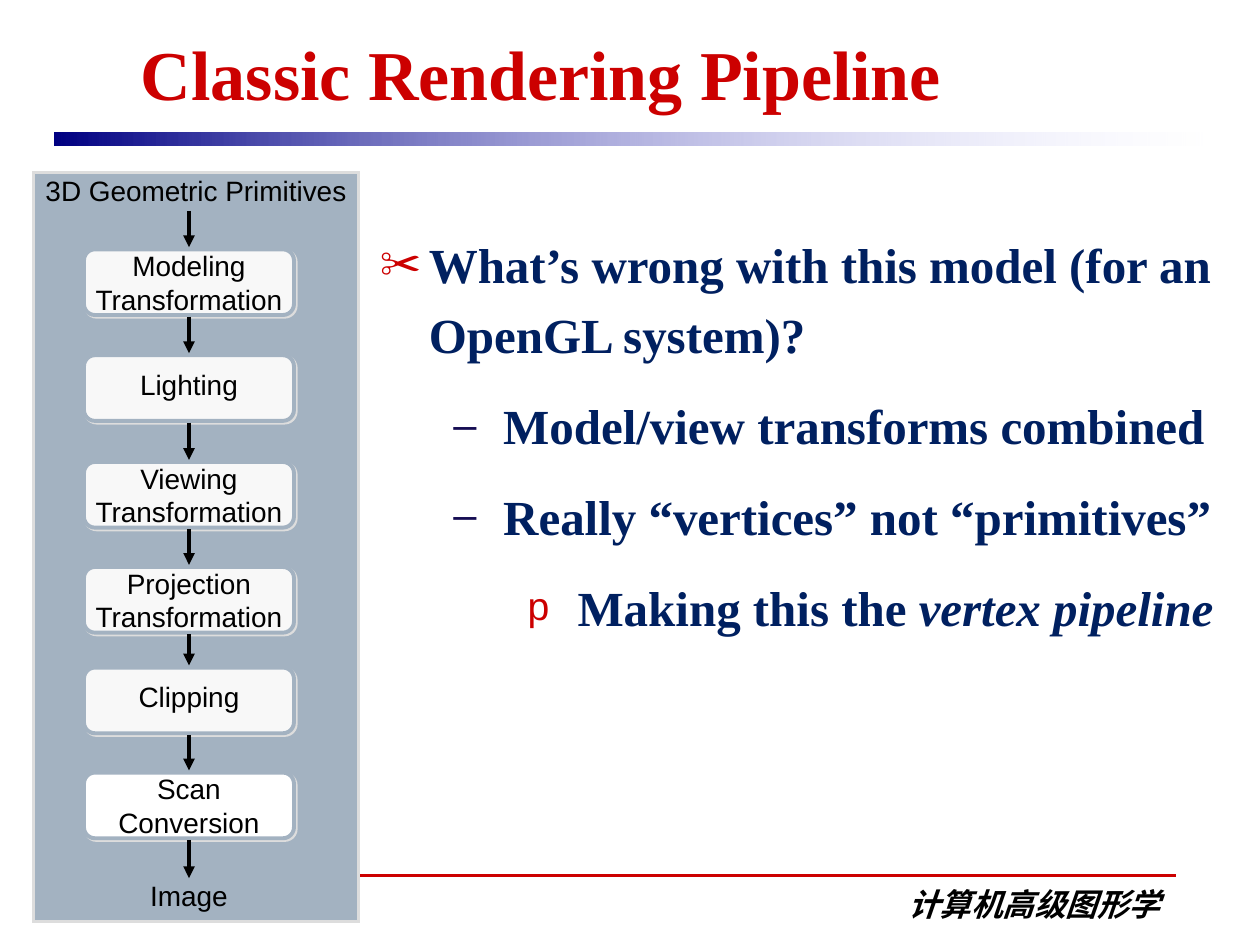
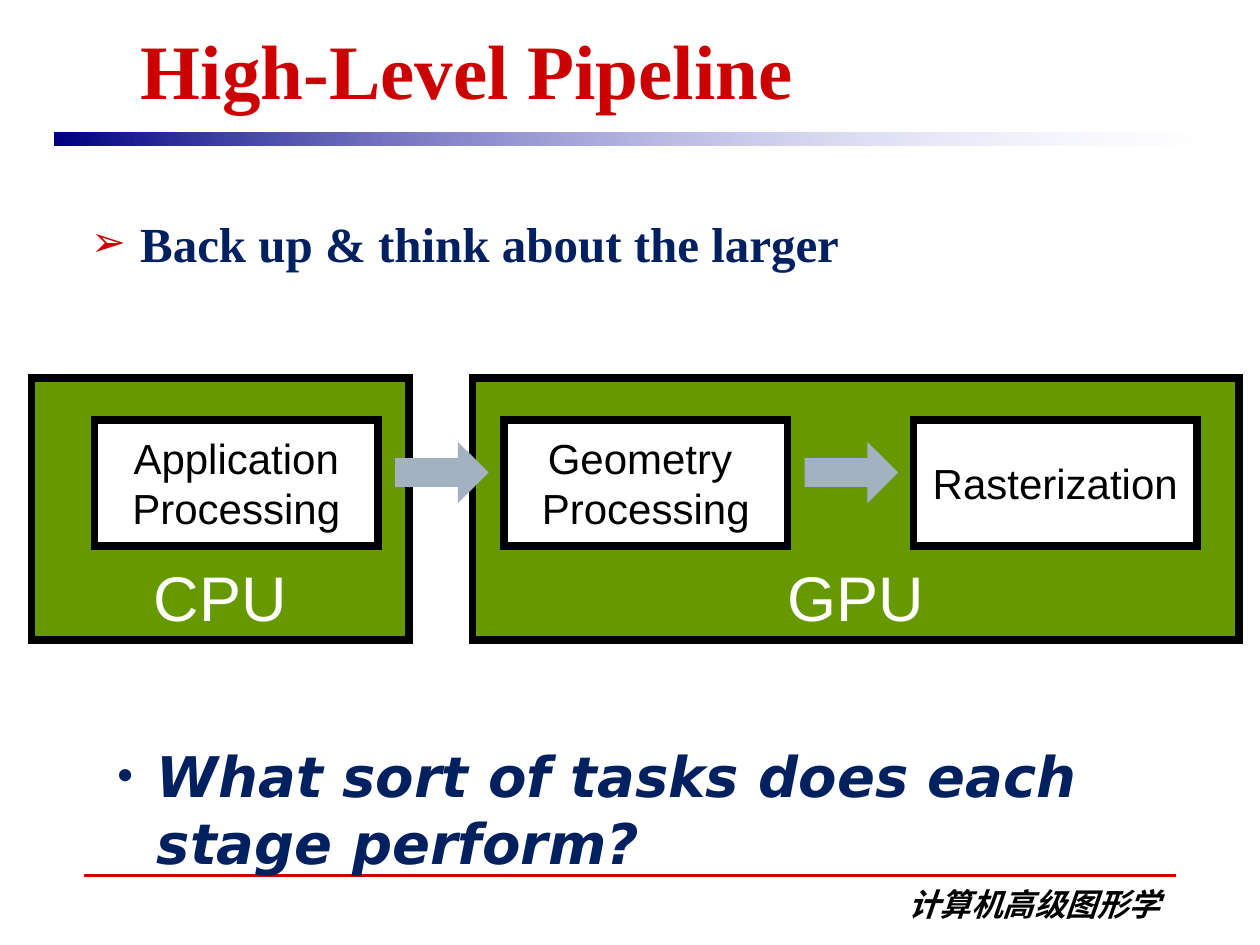
import dataclasses

import lxml.etree
import pptx
import pptx.dml.color
import pptx.enum.shapes
import pptx.enum.text
import pptx.oxml.ns
import pptx.util

Pt = pptx.util.Pt
Kind = pptx.enum.shapes.MSO_SHAPE
Anchor = pptx.enum.text.MSO_ANCHOR
Align = pptx.enum.text.PP_ALIGN


@dataclasses.dataclass(frozen=True)
class Theme:
    # Colours
    red: str = "CC0000"
    navy: str = "002060"
    dash: str = "140C52"
    steel: str = "A3B2C1"
    pale: str = "F8F8F8"
    edge: str = "DDDDDD"
    green: str = "669900"
    black: str = "000000"
    white: str = "FFFFFF"
    band: tuple = ("000082", "CCCCFF")
    # Fonts and type sizes
    serif: str = "Times New Roman"
    sans: str = "Arial"
    wide: str = "DejaVu Sans"
    han: str = "Noto Sans CJK SC"
    step: int = 16
    foot: int = 18
    stage: int = 24
    body: int = 28
    ask: int = 32
    chip: int = 36


T = Theme()


def look(name, size, color, **more):
    return dict(name=name, size=Pt(size), color=color, **more)


BODY = look(T.serif, T.body, T.navy, bold=True)
STEP = look(T.sans, T.step, T.black)
STAGE = look(T.sans, T.stage, T.black)
CHIP = look(T.sans, T.chip, T.white)


def rgb(code):
    return pptx.dml.color.RGBColor.from_string(code)


def tag(root, name, **attrs):
    """Append a drawing element to root."""
    part = lxml.etree.SubElement(root, pptx.oxml.ns.qn("a:" + name))
    for key, val in attrs.items():
        part.set(key, str(val))
    return part


def tint(root, code):
    return tag(root, "srgbClr", val=code)


def style(run, form):
    for key, val in form.items():
        if key == "color":
            run.font.color.rgb = rgb(val)
        else:
            setattr(run.font, key, val)
    tag(run._r.get_or_add_rPr(), "ea", typeface=form["name"])


def write(frame, lines, form, wrap=True, anchor=Anchor.TOP, **rules):
    """Fill a frame with paragraphs that share one look."""
    frame.word_wrap = wrap
    frame.vertical_anchor = anchor
    for at, line in enumerate(lines):
        para = frame.paragraphs[0] if at == 0 else frame.add_paragraph()
        para.text = line
        for key, val in rules.items():
            setattr(para, key, val)
        for run in para.runs:
            style(run, form)
    return frame.paragraphs


def label(slide, box, lines, form, **rules):
    text = slide.shapes.add_textbox(*map(Pt, box))
    return write(text.text_frame, lines, form, **rules)


def bullet(para, mark, color, size, left, hang, level=0):
    para.level = level
    props = para._p.get_or_add_pPr()
    props.set("marL", str(Pt(left)))
    props.set("indent", str(Pt(-hang)))
    tint(tag(props, "buClr"), color)
    tag(props, "buSzPct", val=size * 1000)
    tag(props, "buFont", typeface=T.sans)
    tag(props, "buChar", char=mark)


def block(slide, kind, box, fill, edge, width):
    shape = slide.shapes.add_shape(kind, *map(Pt, box))
    shape.shadow.inherit = False
    shape.fill.solid()
    shape.fill.fore_color.rgb = rgb(fill)
    shape.line.color.rgb = rgb(edge)
    shape.line.width = Pt(width)
    tag(shape.line._get_or_add_ln(), "miter", lim=800000)
    return shape


def rule(slide, start, end, color, width, head=False):
    line = slide.shapes.add_connector(
        pptx.enum.shapes.MSO_CONNECTOR.STRAIGHT, *map(Pt, start + end))
    line.line.color.rgb = rgb(color)
    line.line.width = Pt(width)
    if head:
        tag(line.line._get_or_add_ln(), "tailEnd", type="triangle")
    tag(line._element.spPr, "effectLst")


def base(deck, title, size):
    """Add a slide with the shared title, band and footer."""
    slide = deck.slides.add_slide(deck.slide_layouts[6])
    rule(slide, (48, 500.5), (672, 500.5), T.red, 1.75)

    # Fading band under the title
    band = slide.shapes.add_shape(Kind.RECTANGLE, *map(Pt, (31, 76, 658, 7)))
    band.shadow.inherit = False
    band.line.fill.background()
    band.fill.gradient()
    band.fill.gradient_angle = 0
    for stop, code in zip(band.fill.gradient_stops, T.band):
        stop.color.rgb = rgb(code)
    last = list(band._element.iter(pptx.oxml.ns.qn("a:srgbClr")))[-1]
    tag(last, "alpha", val=0)

    label(slide, (474, 502, 196, 29), ["计算机高级图形学"],
          look(T.han, T.foot, T.black, bold=True, italic=True),
          alignment=Align.RIGHT)
    label(slide, (73.5, 9.5, 601, 59.5), [title],
          look(T.serif, size, T.red, bold=True), anchor=Anchor.BOTTOM)
    return slide


def notes(slide, box):
    """Three levels of remarks on the model."""
    paras = label(slide, box, [
        "What’s wrong with this model (for an OpenGL system)?",
        "Model/view transforms combined",
        "Really “vertices” not “primitives”",
        "Making this the ",
    ], BODY, line_spacing=Pt(40))
    marks = [("✂", T.red, 85, 28), ("–", T.dash, 85, 70.5),
             ("–", T.dash, 85, 70.5), ("p", T.red, 80, 113)]
    for para, mark, level in zip(paras, marks, (0, 1, 1, 2)):
        bullet(para, *mark, hang=28.5 if level else 28, level=level)
        if level:
            para.space_before = Pt(12)
    run = paras[-1].add_run()
    run.text = "vertex pipeline"
    style(run, dict(BODY, italic=True))


def flow(slide, box):
    """Column of pipeline steps joined by arrows."""
    left, top, width, height = box
    block(slide, Kind.RECTANGLE, box, T.steel, T.edge, 1.5)
    mid = left + 89
    wide, tall = 120, 37.5
    steps = [
        (44, ["Modeling", "Transformation"]),
        (104.5, ["Lighting"]),
        (165.5, ["Viewing", "Transformation"]),
        (225.5, ["Projection", "Transformation"]),
        (283, ["Clipping"]),
        (343, ["Scan", "Conversion"]),
    ]
    for drop, lines in steps:
        fill = T.white if lines[0] == "Scan" else T.pale
        card = block(slide, Kind.ROUNDED_RECTANGLE,
                     (mid - wide / 2, top + drop, wide, tall),
                     fill, T.steel, 2.25)
        glow = card._element.spPr.find(pptx.oxml.ns.qn("a:effectLst"))
        tint(tag(glow, "outerShdw", dist=Pt(1.4), dir=45 * 60000,
                 algn="ctr", rotWithShape=0), T.edge)
        write(card.text_frame, lines, STEP, wrap=False, anchor=Anchor.MIDDLE,
              alignment=Align.CENTER,
              line_spacing=0.75 if len(lines) == 1 else None)

    # Input and output names
    for spot, name in (((left - 0.5, top - 3, width + 1, 27),
                        "3D Geometric Primitives"),
                       ((mid - 51, top + 399.5, 102, 27), "Image")):
        label(slide, spot, [name], STEP, wrap=False, anchor=Anchor.MIDDLE,
              alignment=Align.CENTER)

    # Arrows fill the gaps between stops
    stops = [-16.5] + [drop for drop, _ in steps] + [404.5]
    for here, there in zip(stops, stops[1:]):
        rule(slide, (mid, top + here + tall + 1), (mid, top + there - 1.25),
             T.black, 2.25, head=True)


def chips(slide, box):
    """CPU and GPU areas with their stages."""
    left, top, width, height = box

    def panel(spot, fill, text, form, anchor):
        shape = block(slide, Kind.RECTANGLE, spot, fill, T.black, 4.5)
        write(shape.text_frame, [text], form, wrap=False, anchor=anchor,
              alignment=Align.CENTER)

    for start, span, name in ((252, width - 252, "GPU"), (0, 216, "CPU")):
        panel((left + start, top, span, height), T.green, name, CHIP,
              Anchor.BOTTOM)

    # Stages, with an arrow after each but the last
    names = ["Application\vProcessing", "Geometry \vProcessing",
             "Rasterization"]
    spots = [left + 36 + 234 * at for at in range(len(names))]
    for spot, name in zip(spots, names):
        panel((spot, top + 24, 162, 72), T.white, name, STAGE, Anchor.MIDDLE)
    for spot in spots[:-1]:
        block(slide, Kind.RIGHT_ARROW, (spot + 174, top + 42, 48, 24),
              T.steel, T.steel, 4.5)


def point(slide, box, text, form, mark, **rules):
    """One line of text with a bullet."""
    para = label(slide, box, [text], form, **rules)[0]
    bullet(para, **mark)


def main():
    deck = pptx.Presentation()
    deck.slide_width, deck.slide_height = Pt(720), Pt(540)

    slide = base(deck, "Classic Rendering Pipeline", 40)
    notes(slide, (210, 124, 504, 243))
    flow(slide, (19, 98.5, 186, 428))

    slide = base(deck, "High-Level Pipeline", 44)
    point(slide, (45, 111.5, 630, 47.5), "Back up & think about the larger",
          BODY, dict(mark="➢", color=T.red, size=85, left=28, hang=28),
          line_spacing=1.2)
    chips(slide, (18, 216, 438 + 252, 150))
    point(slide, (24, 420, 672, 84),
          "What sort of tasks does each stage perform?",
          look(T.wide, T.ask, T.navy, bold=True, italic=True),
          dict(mark="•", color=T.navy, size=80, left=58.5, hang=22.5, level=1))

    deck.save("out.pptx")


if __name__ == "__main__":
    main()
